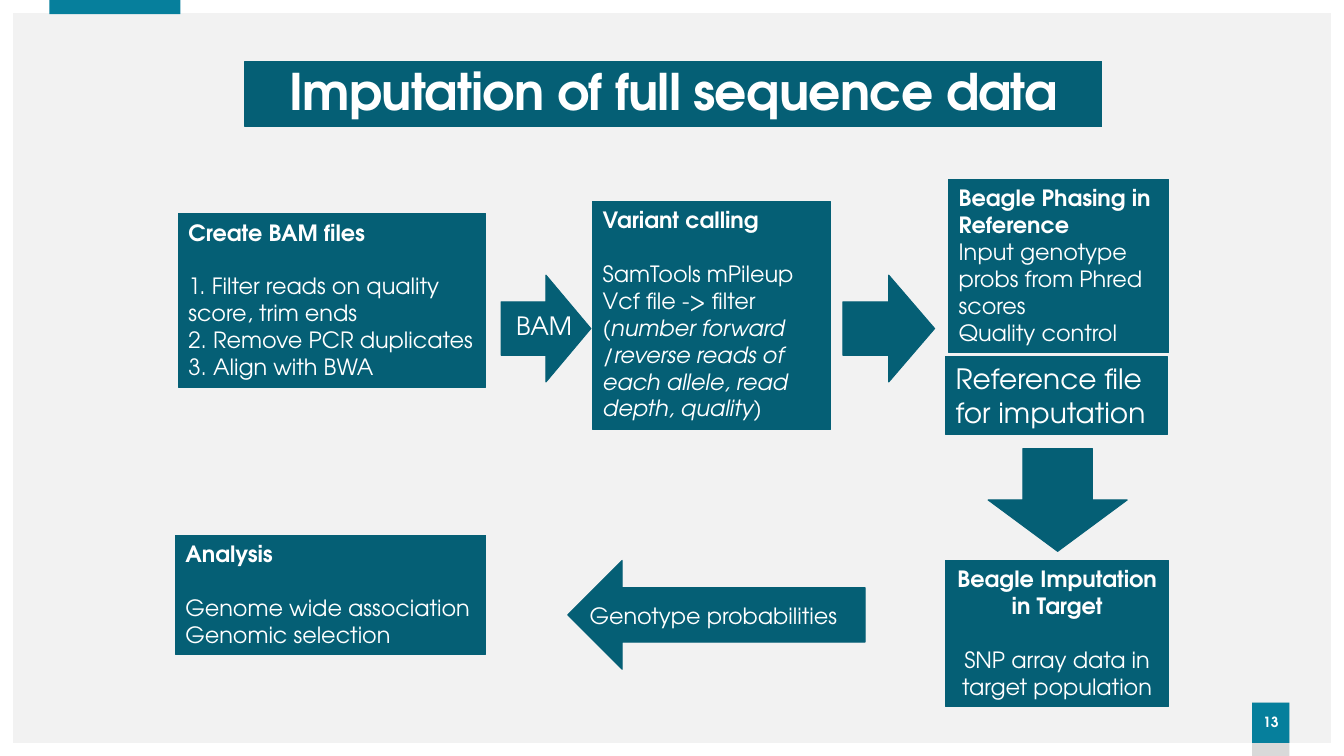
from pptx import Presentation
from pptx import util as u
from pptx.dml.color import RGBColor
from pptx.enum import shapes, text

COLORS = {"background": "F2F2F2", "white": "FFFFFF", "teal": "055F75",
          "accent": "067F9C", "gray": "D9D9D9"}
FONT = "TeX Gyre Adventor"
SHAPE = shapes.MSO_SHAPE
CENTER = text.PP_ALIGN.CENTER
BOLD, ITALIC = {"bold": True}, {"italic": True}
GAP = {"space_before": u.Pt(19.2)}  # one line of 16 pt text

# box, then paragraphs as (runs, paragraph format); a run is (text, font format)
STEPS = [
    ((1.77, 2.12, 3.05, 1.72), [
        ([("Create BAM files", BOLD)], {}),
        ([("1. Filter reads on quality score, trim ends", {})], GAP),
        ([("2. Remove PCR duplicates", {})], {}),
        ([("3. Align with BWA", {})], {})]),
    ((5.88, 2, 2.36, 2.26), [
        ([("Variant calling", BOLD)], {}),
        ([("SamTools mPileup", {})], GAP),
        ([("Vcf file -> filter (", {}),
          ("number forward /reverse reads of each allele, read depth, quality", ITALIC),
          (")", {})], {})]),
    ((9.41, 1.78, 2.18, 1.72), [
        ([("Beagle Phasing in Reference", BOLD)], {}),
        ([("Input genotype probs from Phred scores", {})], {}),
        ([("Quality control", {})], {})]),
    ((9.38, 3.54, 2.2, 0.77), [
        ([("Reference file for imputation", {"size": u.Pt(20)})], {})]),
    ((9.38, 5.56, 2.21, 1.45), [
        ([("Beagle Imputation in Target", BOLD)], {"alignment": CENTER}),
        ([("SNP array data in target population", {})], {"alignment": CENTER, **GAP})]),
    ((1.74, 5.31, 3.08, 1.18), [
        ([("Analysis", BOLD)], {}),
        ([("Genome wide association", {})], GAP),
        ([("Genomic selection", {})], {})]),
]
ARROWS = [
    (SHAPE.RIGHT_ARROW, (4.97, 2.73, 0.89, 1.06)),
    (SHAPE.RIGHT_ARROW, (8.36, 2.73, 0.91, 1.06)),
    (SHAPE.DOWN_ARROW, (9.8, 4.45, 1.38, 1.02)),
    (SHAPE.LEFT_ARROW, (5.63, 5.56, 2.95, 1.08)),
]
LABELS = [
    ("Genotype probabilities", 16, True, (5.75, 5.92, 2.72, 0.37)),
    ("BAM", 18, False, (5.02, 3.03, 0.77, 0.4)),
]


def color(name):
    return RGBColor.from_string(COLORS[name])


def inches(box):
    return [u.Inches(length) for length in box]


def set_all(target, values):
    for name, value in values.items():
        setattr(target, name, value)


def paint(shape, fill, outlined=False):
    shape.fill.solid()
    shape.fill.fore_color.rgb = color(fill)
    if outlined:
        shape.line.color.rgb = color(fill)
        shape.line.width = u.Pt(0.75)
    else:
        shape.line.fill.background()


def add_block(slide, kind, box, fill, outlined=False):
    shape = slide.shapes.add_shape(kind, *inches(box))
    shape.shadow.inherit = False
    paint(shape, fill, outlined)
    return shape


def write(shape, paragraphs, **frame_format):
    frame = shape.text_frame
    set_all(frame, {"word_wrap": True, "auto_size": text.MSO_AUTO_SIZE.NONE,
                    "vertical_anchor": text.MSO_ANCHOR.TOP, **frame_format})
    for index, (runs, paragraph_format) in enumerate(paragraphs):
        paragraph = frame.add_paragraph() if index else frame.paragraphs[0]
        set_all(paragraph, {"alignment": text.PP_ALIGN.LEFT, **paragraph_format})
        for words, font_format in runs:
            run = paragraph.add_run()
            run.text = words
            set_all(run.font, {"name": FONT, "size": u.Pt(16), "bold": False, **font_format})
            run.font.color.rgb = color("white")


def add_page_frame(slide, box):
    left, top, width, height = box
    slide.background.fill.solid()
    slide.background.fill.fore_color.rgb = color("background")
    border = add_block(slide, SHAPE.FRAME, box, "white")
    border.adjustments[0] = 0.017
    add_block(slide, SHAPE.RECTANGLE, (left + 0.49, top, 1.3, 0.14), "accent")
    tab_left, tab_top = left + width - 0.91, top + height - 0.53
    add_block(slide, SHAPE.RECTANGLE, (tab_left, tab_top, 0.37, 0.53), "gray")
    number = add_block(slide, SHAPE.RECTANGLE, (tab_left, tab_top, 0.37, 0.4), "accent")
    write(number, [([("13", {"size": u.Pt(10), **BOLD})],
                    {"alignment": CENTER, "line_spacing": 0.9})],
          vertical_anchor=text.MSO_ANCHOR.MIDDLE, margin_left=0, margin_right=0)


def format_title(slide, box):
    title = slide.shapes.title
    title.left, title.top, title.width, title.height = inches(box)
    paint(title, "teal", outlined=True)
    write(title, [([("Imputation of full sequence data", {"size": u.Pt(36), **BOLD})],
                   {"alignment": CENTER, "line_spacing": 0.9})],
          vertical_anchor=text.MSO_ANCHOR.MIDDLE)
    title.text_frame.paragraphs[0].runs[0]._r.get_or_add_rPr().set("spc", "-60")


def add_workflow(slide, origin):
    """Place the steps, arrows and arrow labels, offset by origin."""
    def moved(box):
        return (origin[0] + box[0], origin[1] + box[1], *box[2:])

    for box, paragraphs in STEPS:
        write(add_block(slide, SHAPE.RECTANGLE, moved(box), "teal", outlined=True), paragraphs)
    for kind, box in ARROWS:
        add_block(slide, kind, moved(box), "teal", outlined=True)
    for words, size, wrap, box in LABELS:
        label = slide.shapes.add_textbox(*inches(moved(box)))
        write(label, [([(words, {"size": u.Pt(size)})], {})], word_wrap=wrap)


def main():
    presentation = Presentation()
    presentation.slide_width = u.Inches(13.33)
    presentation.slide_height = u.Inches(7.5)
    slide = presentation.slides.add_slide(presentation.slide_layouts.get_by_name("Title Only"))
    add_page_frame(slide, (0, 0, 13.33, 7.5))
    format_title(slide, (2.43, 0.61, 8.5, 0.65))
    add_workflow(slide, (0, 0))
    presentation.save("out.pptx")


if __name__ == "__main__":
    main()
